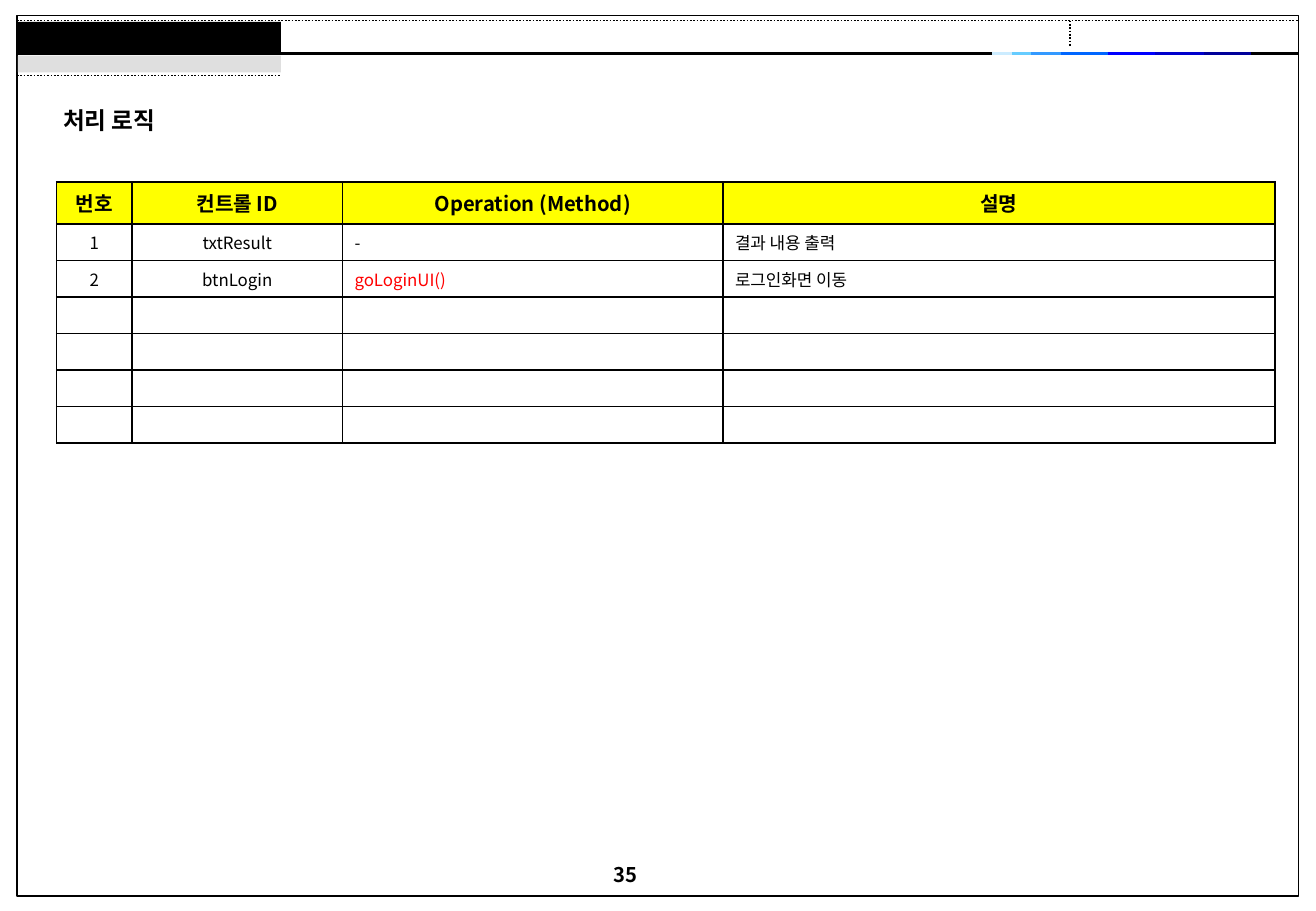
from dataclasses import dataclass
from itertools import pairwise

from lxml import etree
from pptx import Presentation
from pptx.dml.color import RGBColor
from pptx.enum.dml import MSO_LINE
from pptx.enum.shapes import MSO_CONNECTOR, MSO_SHAPE
from pptx.enum.text import MSO_ANCHOR, PP_ALIGN
from pptx.oxml.ns import qn
from pptx.util import Pt

DOT = MSO_LINE.ROUND_DOT
STRAIGHT = MSO_CONNECTOR.STRAIGHT
RECT = MSO_SHAPE.RECTANGLE
LEFT, CENTER = PP_ALIGN.LEFT, PP_ALIGN.CENTER
TOP, MIDDLE = MSO_ANCHOR.TOP, MSO_ANCHOR.MIDDLE


@dataclass(frozen=True)
class Theme:
    font: str = "Noto Sans CJK KR"
    ink: str = "000000"
    alert: str = "FF0000"
    head: str = "FFFF00"
    shade: str = "C0C0C0"
    blues: tuple = ("CCECFF", "66CCFF", "3399FF", "0066FF",
                    "0000FF", "0000CC", "000099")
    title: int = 14
    label: int = 12
    body: int = 10
    thin: float = 1
    thick: float = 2.25


def apply(item, values):
    for name, value in values.items():
        setattr(item, name, value)


class Page:
    def __init__(self, slide, theme):
        self.slide = slide
        self.theme = theme

    def text(self, frame, words, size, bold=False, color=None, align=LEFT):
        para = frame.paragraphs[0]
        apply(para, {"alignment": align, "space_before": Pt(0)})
        if not words:
            etree.SubElement(para._p, qn("a:endParaRPr"), sz=str(size * 100))
            return
        run = para.add_run()
        run.text = words
        apply(run.font, {"name": self.theme.font, "size": Pt(size), "bold": bold})
        run.font.color.rgb = RGBColor.from_string(color or self.theme.ink)
        etree.SubElement(run._r.get_or_add_rPr(), qn("a:ea"), typeface=self.theme.font)

    def place(self, item, left, top, width, height):
        apply(item, {"left": Pt(left), "top": Pt(top),
                     "width": Pt(width), "height": Pt(height)})

    def frame(self, item, anchor):
        apply(item.text_frame, {
            "word_wrap": True, "vertical_anchor": anchor,
            "margin_left": Pt(7.2), "margin_right": Pt(7.2),
            "margin_top": Pt(3.6), "margin_bottom": Pt(3.6)})
        return item.text_frame

    def title(self, words, *area):
        item = self.slide.shapes.title
        self.place(item, *area)
        self.text(self.frame(item, MIDDLE), words, self.theme.title, True)

    def label(self, words, *area):
        item = self.slide.shapes.add_textbox(*map(Pt, area))
        self.text(self.frame(item, TOP), words, self.theme.label, True)

    def box(self, *area, fill=None, alpha=None):
        item = self.slide.shapes.add_shape(RECT, *map(Pt, area))
        item.shadow.inherit = False
        if fill:
            item.fill.solid()
            item.fill.fore_color.rgb = RGBColor.from_string(fill)
            item.line.fill.background()
        else:
            item.fill.background()
            item.line.color.rgb = RGBColor.from_string(self.theme.ink)
            item.line.width = Pt(self.theme.thin)
        if alpha:
            tone = item._element.spPr.find(".//" + qn("a:srgbClr"))
            etree.SubElement(tone, qn("a:alpha"), val=str(alpha * 1000))

    def line(self, x1, y1, x2, y2, color=None, width=None, dash=None):
        item = self.slide.shapes.add_connector(STRAIGHT, *map(Pt, (x1, y1, x2, y2)))
        item.line.color.rgb = RGBColor.from_string(color or self.theme.ink)
        apply(item.line, {"width": Pt(width or self.theme.thin), "dash_style": dash})
        etree.SubElement(item._element.spPr, qn("a:effectLst"))

    def edge(self, cell):
        props = cell._tc.get_or_add_tcPr()
        for side in ("lnL", "lnR", "lnT", "lnB"):
            rule = etree.SubElement(props, qn("a:" + side), w=str(Pt(self.theme.thin)))
            fill = etree.SubElement(rule, qn("a:solidFill"))
            etree.SubElement(fill, qn("a:srgbClr"), val=self.theme.ink)

    def table(self, left, top, widths, heights, rows):
        theme = self.theme
        grid = self.slide.shapes.add_table(
            len(heights), len(widths), Pt(left), Pt(top),
            Pt(sum(widths)), Pt(sum(heights))).table
        apply(grid, {"first_row": False, "horz_banding": False})
        for col, width in zip(grid.columns, widths):
            col.width = Pt(width)
        for r, (row, height) in enumerate(zip(grid.rows, heights)):
            row.height = Pt(height)
            for c, (cell, words) in enumerate(zip(row.cells, rows[r])):
                head = r == 0
                self.edge(cell)
                cell.vertical_anchor = MIDDLE
                if head:
                    cell.fill.solid()
                    cell.fill.fore_color.rgb = RGBColor.from_string(theme.head)
                else:
                    cell.fill.background()
                self.text(cell.text_frame, words,
                          theme.label if head else theme.body, head,
                          theme.alert if words.endswith("UI()") else theme.ink,
                          CENTER if head or c < 2 else LEFT)


def main():
    deck = Presentation()
    apply(deck, {"slide_width": Pt(780), "slide_height": Pt(540)})
    theme = Theme()
    page = Page(deck.slides.add_slide(deck.slide_layouts[5]), theme)

    left, right, bar = 10.1, 769.7, 31.7
    page.box(left, 9.2, right - left, 522)
    page.line(left, bar, right, bar, width=theme.thick)
    page.line(left, 12.2, right, 12.2, dash=DOT)
    stops = (588.2, 599.8, 611.3, 628.6, 656.6, 684.7, 713.5, 741.6)
    for (start, end), color in zip(pairwise(stops), theme.blues):
        page.line(start, bar, end, bar, color, theme.thick)
    page.line(634.3, 12.2, 634.3, 27.4, dash=DOT)
    page.box(10.5, 13, 156, 18, fill=theme.ink)
    page.box(10.5, 33, 156, 10, fill=theme.shade, alpha=50)
    page.line(left, 44.8, 166.3, 44.8, dash=DOT)
    page.label("35", 356.4, 507.6, 67.7, 31.7)

    rows = [("번호", "컨트롤 ID", "Operation (Method)", "설명"),
            ("1", "txtResult", "-", "결과 내용 출력"),
            ("2", "btnLogin", "goLoginUI()", "로그인화면 이동")]
    rows += [("",) * 4] * 4
    page.table(33.6, 108, (44.7, 124.7, 225.5, 327.2), (24.8,) + (21.65,) * 6, rows)
    page.title("처리 로직", 30.2, 59, 144.7, 24.5)
    deck.save("out.pptx")


if __name__ == "__main__":
    main()
